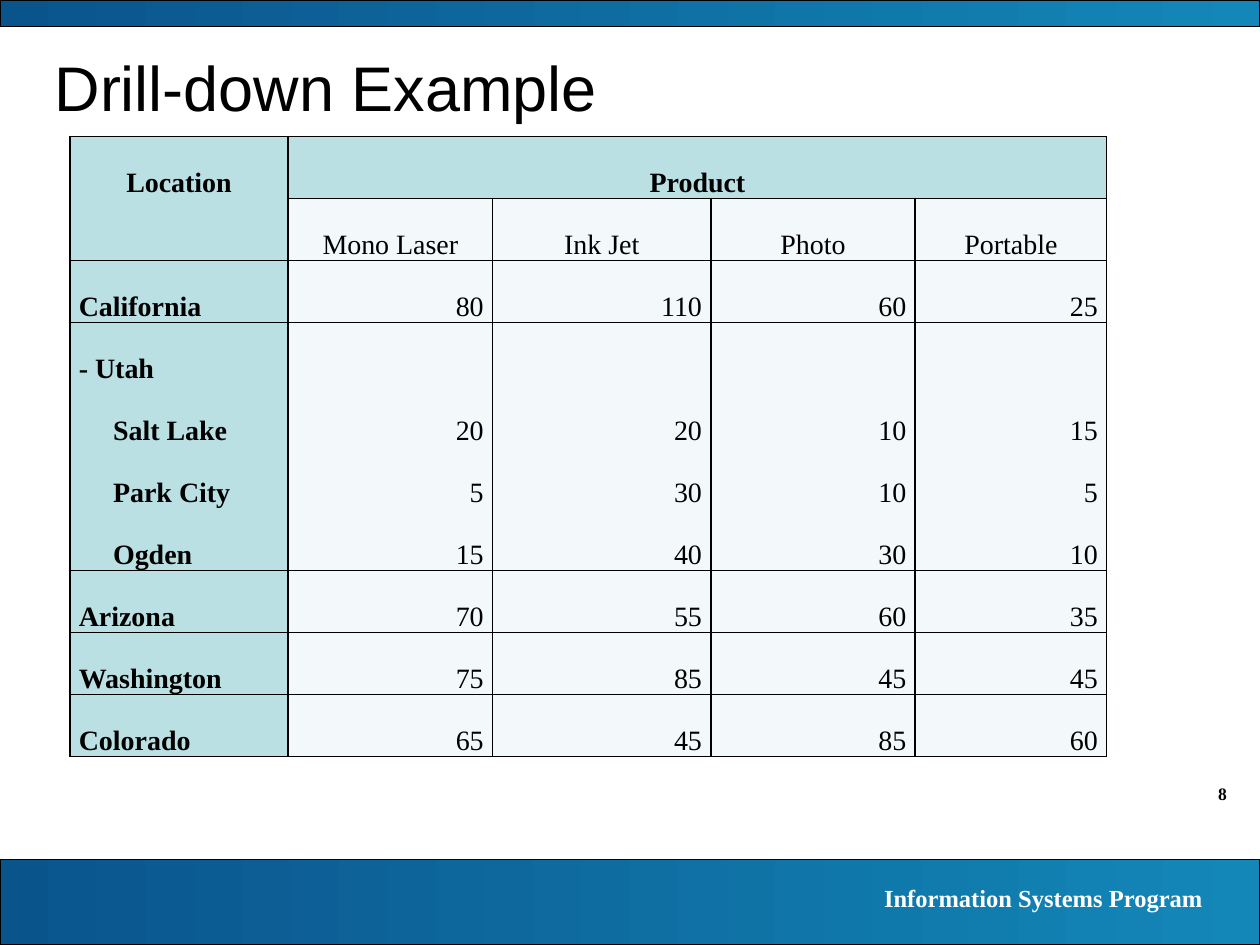
from lxml import etree
from pptx import Presentation
from pptx import util as u
from pptx.dml.color import RGBColor
from pptx.enum import shapes, text
from pptx.oxml.ns import qn

Cm, Pt = u.Cm, u.Pt
HUES = {"ink": "000000", "paper": "FFFFFF", "deep": "0A548C", "sea": "1387B8",
        "head": "BBE0E3", "cell": "F3F9FA"}
SERIF = "Times New Roman"
LEFT, MID, RIGHT = text.PP_ALIGN.LEFT, text.PP_ALIGN.CENTER, text.PP_ALIGN.RIGHT

ROWS = [
    ["Location", "Product", "", "", ""],
    ["", "Mono Laser", "Ink Jet", "Photo", "Portable"],
    ["California", 80, 110, 60, 25],
    ["- Utah", "", "", "", ""],
    ["Salt Lake", 20, 20, 10, 15],
    ["Park City", 5, 30, 10, 5],
    ["Ogden", 15, 40, 30, 10],
    ["Arizona", 70, 55, 60, 35],
    ["Washington", 75, 85, 45, 45],
    ["Colorado", 65, 45, 85, 60],
]
WIDTHS = [4.4, 4.12, 4.4, 4.12, 3.86]
HEADS = range(2)
UTAH = range(3, 7)
CITIES = UTAH[1:]


def hue(name):
    return RGBColor.from_string(HUES[name])


def style(par, size, face, tint="ink", bold=False, align=LEFT):
    par.alignment = align
    for run in par.runs:
        run.font.size = Pt(size)
        run.font.name = face
        run.font.bold = bold
        run.font.color.rgb = hue(tint)


def label(slide, box, words, *look):
    frame = slide.shapes.add_textbox(*map(Cm, box)).text_frame
    frame.word_wrap = True
    frame.vertical_anchor = text.MSO_ANCHOR.MIDDLE
    frame.text = words
    style(frame.paragraphs[0], *look)


def band(slide, box):
    """Add a full-width bar that fades from left to right."""
    bar = slide.shapes.add_shape(shapes.MSO_SHAPE.RECTANGLE, *map(Cm, box))
    bar.shadow.inherit = False
    bar.fill.gradient()
    bar.fill.gradient_angle = 0
    for stop, name, place in zip(bar.fill.gradient_stops, ("deep", "sea"), (0, 1)):
        stop.color.rgb = hue(name)
        stop.position = place
    bar.line.color.rgb = hue("ink")
    bar.line.width = Pt(0.75)


def edge(cell, joined):
    """Draw the four borders of a cell, leaving out the joined sides."""
    props = cell._tc.get_or_add_tcPr()
    for spot, side in enumerate("LRTB"):
        line = etree.Element(qn("a:ln" + side), w=str(Pt(1)))
        if side in joined:
            etree.SubElement(line, qn("a:noFill"))
        else:
            fill = etree.SubElement(line, qn("a:solidFill"))
            etree.SubElement(fill, qn("a:srgbClr"), val=HUES["ink"])
        props.insert(spot, line)


def joins(row, col):
    """Name the sides on which a cell joins its neighbour."""
    group = UTAH if row in UTAH else HEADS if col == 0 and row in HEADS else [row]
    return ("T" if row - 1 in group else "") + ("B" if row + 1 in group else "")


def fill_cell(cell, row, col, value):
    cell.margin_left = cell.margin_right = Cm(0.18)
    cell.margin_top = cell.margin_bottom = 0
    cell.fill.solid()
    cell.fill.fore_color.rgb = hue("head" if row == 0 or col == 0 else "cell")
    edge(cell, joins(row, col))
    if value == "":
        return
    cell.text_frame.text = str(value)
    par = cell.text_frame.paragraphs[0]
    par.line_spacing = Pt(35.4)
    align = MID if row in HEADS else LEFT if col == 0 else RIGHT
    style(par, 16, SERIF, "ink", row == 0 or col == 0, align)
    if col == 0 and row in CITIES:
        par._p.get_or_add_pPr().set("marL", str(Cm(0.69)))


def sales(slide, left, top, height):
    frame = slide.shapes.add_table(len(ROWS), len(WIDTHS), Cm(left), Cm(top),
                                   Cm(sum(WIDTHS)), Cm(height * len(ROWS)))
    grid = frame.table
    grid.first_row = grid.horz_banding = False
    for col, width in zip(grid.columns, WIDTHS):
        col.width = Cm(width)
    for r, row in enumerate(ROWS):
        grid.rows[r].height = Cm(height)
        for c, value in enumerate(row):
            fill_cell(grid.cell(r, c), r, c, value)
    grid.cell(0, 1).merge(grid.cell(0, len(WIDTHS) - 1))


def main():
    deck = Presentation()
    deck.slide_width, deck.slide_height = Cm(25.4), Cm(19.05)
    slide = deck.slides.add_slide(deck.slide_layouts[6])
    label(slide, (22.87, 15.65, 2.11, 0.69), "8", 10, SERIF, "ink", True, RIGHT)
    band(slide, (0, 17.33, 25.4, 1.72))
    band(slide, (0, 0, 25.4, 0.53))
    label(slide, (14.11, 17.66, 10.39, 0.86), "Information Systems Program",
          14, SERIF, "paper", True, RIGHT)
    label(slide, (0.85, 0.8, 23.29, 1.9), "Drill-down Example", 36, "Arial")
    sales(slide, 1.41, 2.75, 1.25)
    deck.save("out.pptx")


if __name__ == "__main__":
    main()
